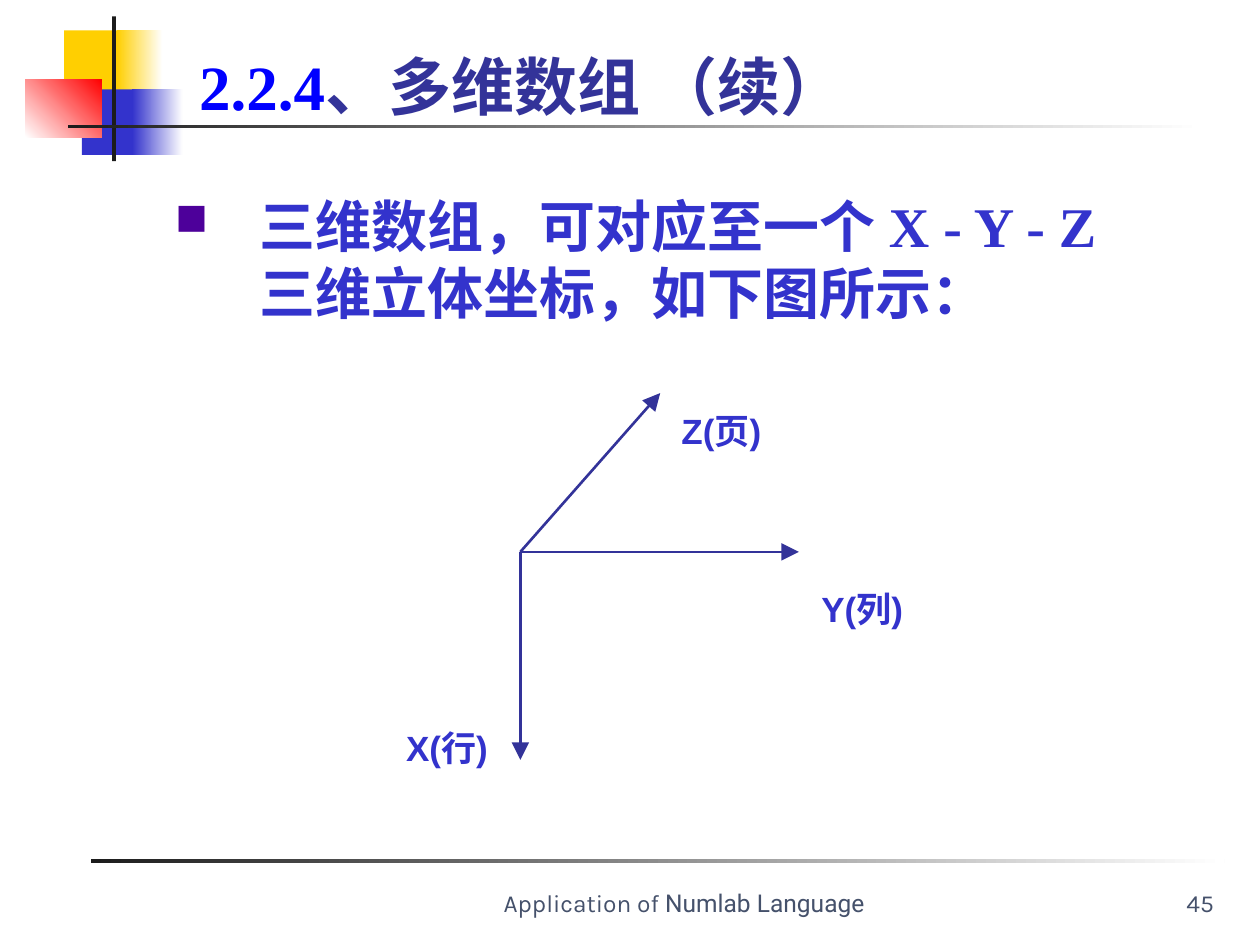
from dataclasses import dataclass

from lxml import etree
from pptx import Presentation
from pptx.dml.color import RGBColor
from pptx.enum.shapes import MSO_CONNECTOR, MSO_SHAPE
from pptx.enum.text import MSO_ANCHOR, MSO_AUTO_SIZE, PP_ALIGN
from pptx.oxml.ns import qn
from pptx.util import Inches, Pt

RECTANGLE, STRAIGHT = MSO_SHAPE.RECTANGLE, MSO_CONNECTOR.STRAIGHT
LEFT, CENTER, RIGHT = PP_ALIGN.LEFT, PP_ALIGN.CENTER, PP_ALIGN.RIGHT
TOP, BOTTOM = MSO_ANCHOR.TOP, MSO_ANCHOR.BOTTOM
NO_AUTOFIT = MSO_AUTO_SIZE.NONE

COLORS = {
    "yellow": "FFCF01",
    "blue": "3333CC",
    "red": "FF0000",
    "white": "FFFFFF",
    "black": "1C1C1C",
    "number": "0000FF",
    "navy": "333399",
    "bullet": "4D009A",
    "footer": "45516B",
}
ORIGIN = (4.13, 4.38)


@dataclass
class Block:
    """A decorative rectangle; fade_to makes its fill a gradient."""
    box: tuple[float, float, float, float]
    color: str
    fade_to: str = ""
    angle: float = 0


@dataclass
class Axis:
    tip: tuple[float, float]
    label: str
    label_at: tuple[float, float]
    align: PP_ALIGN = LEFT


BLOCKS = [
    Block((0.51, 0.24, 0.48, 0.52), "yellow"),
    Block((0.93, 0.24, 0.36, 0.52), "yellow", "white"),
    Block((0.65, 0.71, 0.46, 0.52), "blue"),
    Block((1.05, 0.71, 0.4, 0.52), "blue", "white"),
    Block((0.2, 0.63, 0.61, 0.46), "white", "red", 45),
    Block((0.89, 0.13, 0.03, 1.15), "black"),
    Block((0.54, 0.99, 9, 0.03), "black", "white"),
    Block((0.72, 6.82, 9, 0.03), "black", "white"),
]
AXES = [
    Axis((5.24, 3.12), "Z(页)", (5.31, 3.2)),
    Axis((6.34, 4.38), "Y(列)", (6.42, 4.61)),
    Axis((4.13, 6.03), "X(行)", (2.8, 5.72), RIGHT),
]


def rgb(name: str) -> RGBColor:
    return RGBColor.from_string(COLORS[name])


def style(font, size: float, face: str, color: str, bold: bool = False) -> None:
    font.size = Pt(size)
    font.name = face
    font.bold = bold
    font.color.rgb = rgb(color)


def add_block(slide, block: Block) -> None:
    shape = slide.shapes.add_shape(RECTANGLE, *map(Inches, block.box))
    shape.shadow.inherit = False
    shape.line.fill.background()
    if block.fade_to:
        shape.fill.gradient()
        shape.fill.gradient_angle = block.angle
        for stop, color in zip(shape.fill.gradient_stops, (block.color, block.fade_to)):
            stop.color.rgb = rgb(color)
    else:
        shape.fill.solid()
        shape.fill.fore_color.rgb = rgb(block.color)


def add_text(slide, box: tuple, text: str, align: PP_ALIGN = LEFT, anchor: MSO_ANCHOR = TOP):
    """Add a wrapping text box and return its only paragraph."""
    frame = slide.shapes.add_textbox(*map(Inches, box)).text_frame
    frame.word_wrap = True
    frame.vertical_anchor = anchor
    paragraph = frame.paragraphs[0]
    paragraph.alignment = align
    paragraph.add_run().text = text
    return paragraph


def set_hanging_indent(paragraph, inches: float):
    """Indent all lines but the first and return the paragraph properties."""
    properties = paragraph._p.get_or_add_pPr()
    properties.set("marL", str(Inches(inches)))
    properties.set("indent", str(-Inches(inches)))
    return properties


def add_square_bullet(paragraph) -> None:
    properties = set_hanging_indent(paragraph, 0.67)
    color = etree.SubElement(properties, qn("a:buClr"))
    etree.SubElement(color, qn("a:srgbClr"), val=COLORS["bullet"])
    etree.SubElement(properties, qn("a:buSzPct"), val="80000")
    etree.SubElement(properties, qn("a:buChar"), char="■")


def add_axis(slide, axis: Axis) -> None:
    arrow = slide.shapes.add_connector(STRAIGHT, *map(Inches, ORIGIN + axis.tip))
    arrow.line.color.rgb = rgb("navy")
    arrow.line.width = Pt(1.5)
    etree.SubElement(arrow.line._get_or_add_ln(), qn("a:tailEnd"),
                     type="triangle", w="lg", len="lg")
    etree.SubElement(arrow._element.spPr, qn("a:effectLst"))
    label = add_text(slide, (*axis.label_at, 1.17, 0.44), axis.label, axis.align)
    style(label.font, 20, "Arial", "blue", bold=True)


def fill_title(title) -> None:
    title.left, title.top, title.width, title.height = map(Inches, (1.48, 0.32, 8.52, 0.71))
    frame = title.text_frame
    frame.auto_size = NO_AUTOFIT
    frame.vertical_anchor = BOTTOM
    heading = frame.paragraphs[0]
    heading.alignment = LEFT
    set_hanging_indent(heading, 0.75)
    for text, color in (("2.2.4", "number"), ("、多维数组 （续）", "navy")):
        run = heading.add_run()
        run.text = text
        style(run.font, 36, "Times New Roman", color, bold=True)


def main() -> None:
    presentation = Presentation()
    presentation.slide_width, presentation.slide_height = Inches(10), Inches(7.5)
    slide = presentation.slides.add_slide(presentation.slide_layouts[5])

    for block in BLOCKS:
        add_block(slide, block)
    fill_title(slide.shapes.title)

    course = add_text(slide, (3.66, 6.83, 3.54, 0.5), "Application of ", CENTER, BOTTOM)
    course.add_run().text = "Numlab Language"
    for run, face in zip(course.runs, ("Karla", "Roboto")):
        style(run.font, 14, face, "footer")
    page_number = add_text(slide, (7.52, 6.83, 2.26, 0.5), "45 ", RIGHT, BOTTOM)
    style(page_number.font, 14, "Karla", "footer")

    statement = add_text(slide, (1.29, 1.47, 7.8, 5.24),
                         "三维数组，可对应至一个 X - Y - Z 三维立体坐标，如下图所示：")
    add_square_bullet(statement)
    style(statement.font, 32, "Times New Roman", "blue", bold=True)

    for axis in AXES:
        add_axis(slide, axis)
    presentation.save("out.pptx")


if __name__ == "__main__":
    main()
